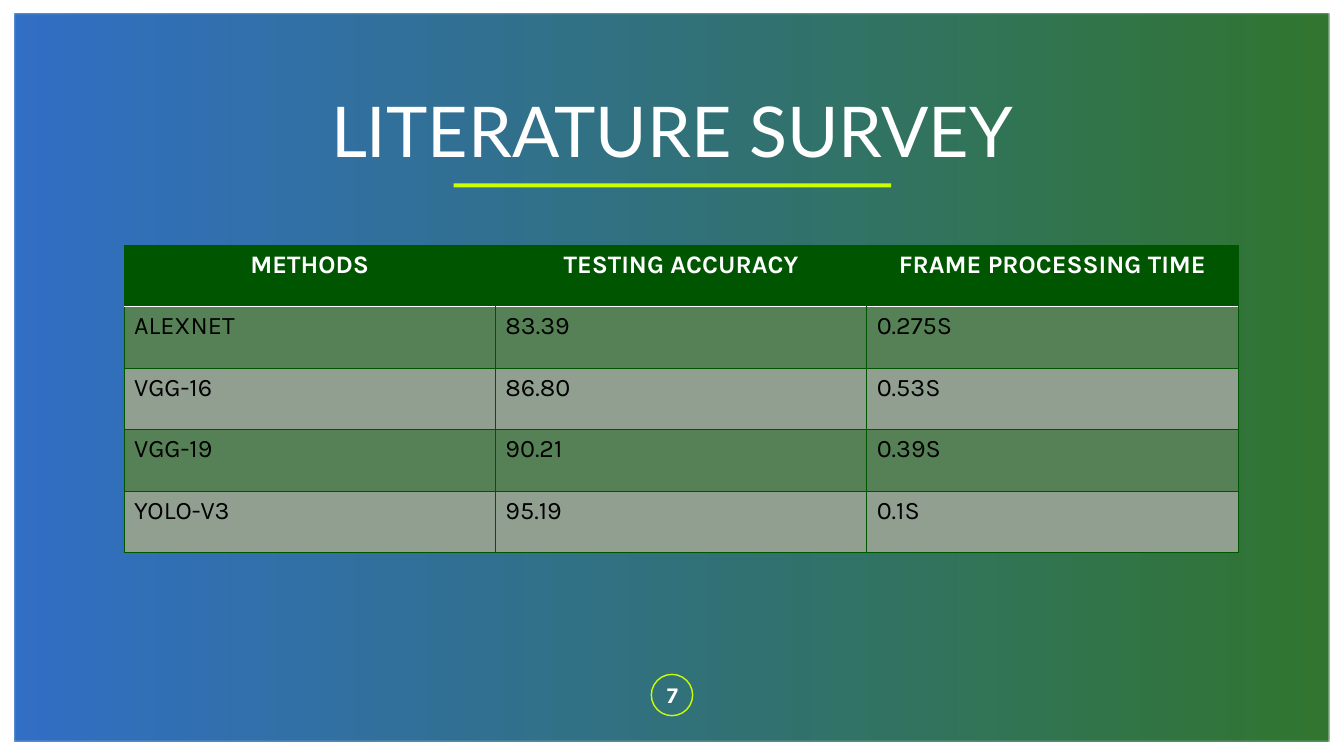
from lxml import etree
from pptx import Presentation
from pptx.dml.color import RGBColor
from pptx.enum.shapes import MSO_SHAPE
from pptx.enum.text import MSO_ANCHOR, MSO_AUTO_SIZE, PP_ALIGN
from pptx.oxml.ns import qn
from pptx.util import Inches, Pt

BLUE = RGBColor(0x00, 0x4C, 0xB9)
GREEN = RGBColor(0x00, 0x55, 0x00)
LIME = RGBColor(0xCB, 0xFF, 0x00)
WHITE = RGBColor(0xFF, 0xFF, 0xFF)
BLACK = RGBColor(0x00, 0x00, 0x00)
BAND_DARK = RGBColor(0x56, 0x81, 0x56)
BAND_LIGHT = RGBColor(0x90, 0x9F, 0x90)


def add_run(paragraph, text, font_name, size, color, bold=False):
    run = paragraph.add_run()
    run.text = text
    run.font.name = font_name
    run.font.size = Pt(size)
    run.font.color.rgb = color
    run.font.bold = bold


def set_borders(cell, borders):
    """Borders are (side, color, points), sides in the order L, R, T, B."""
    properties = cell._tc.get_or_add_tcPr()
    for index, (side, color, points) in enumerate(borders):
        line = etree.Element(qn(f"a:ln{side}"), w=str(Pt(points)))
        if color is None:
            etree.SubElement(line, qn("a:noFill"))
        else:
            fill = etree.SubElement(line, qn("a:solidFill"))
            etree.SubElement(fill, qn("a:srgbClr"), val=str(color))
        properties.insert(index, line)


presentation = Presentation()
presentation.slide_width = Inches(13.33)
presentation.slide_height = Inches(7.5)
slide = presentation.slides.add_slide(presentation.slide_layouts[5])
shapes = slide.shapes
title = shapes.title

# Gradient panel
panel = shapes.add_shape(MSO_SHAPE.RECTANGLE, Inches(0.14), Inches(0.14),
                         Inches(13.05), Inches(7.22))
panel.shadow.inherit = False
panel.line.fill.background()
panel.fill.gradient()
panel.fill.gradient_angle = 0
for stop, color, position in zip(panel.fill.gradient_stops, (BLUE, GREEN), (0, 0.99)):
    stop.color.rgb = color
    stop.position = position
for color_element in panel._element.spPr.iter(qn("a:srgbClr")):
    etree.SubElement(color_element, qn("a:alpha"), val="80000")

# Ring around the page number
ring = shapes.add_shape(MSO_SHAPE.OVAL, Inches(6.46), Inches(6.69),
                        Inches(0.41), Inches(0.41))
ring.shadow.inherit = False
ring.fill.background()
ring.line.color.rgb = LIME
ring.line.width = Pt(1)

# Title underline
underline = shapes.add_shape(MSO_SHAPE.RECTANGLE, Inches(4.5), Inches(1.82),
                             Inches(4.34), Inches(0.04))
underline.shadow.inherit = False
underline.fill.solid()
underline.fill.fore_color.rgb = LIME
underline.line.fill.background()

# Title, brought in front of the panel
shapes._spTree.append(title._element)
title.left, title.top = Inches(0.92), Inches(0.61)
title.width, title.height = Inches(11.5), Inches(1.45)
frame = title.text_frame
frame.auto_size = MSO_AUTO_SIZE.NONE
frame.vertical_anchor = MSO_ANCHOR.MIDDLE
frame.margin_left = frame.margin_right = 0
paragraph = frame.paragraphs[0]
paragraph.alignment = PP_ALIGN.CENTER
paragraph.line_spacing = 0.9
add_run(paragraph, "LITERATURE SURVEY", "Lato", 50, WHITE)

# Page number
number_box = shapes.add_textbox(Inches(6.37), Inches(6.69), Inches(0.6), Inches(0.4))
frame = number_box.text_frame
frame.word_wrap = True
frame.vertical_anchor = MSO_ANCHOR.MIDDLE
paragraph = frame.paragraphs[0]
paragraph.alignment = PP_ALIGN.CENTER
add_run(paragraph, "7", "Karla", 16, WHITE, True)

# Results table
results = [
    ("METHODS", "TESTING ACCURACY", "FRAME PROCESSING TIME"),
    ("ALEXNET", "83.39", "0.275S"),
    ("VGG-16", "86.80", "0.53S"),
    ("VGG-19", "90.21", "0.39S"),
    ("YOLO-V3", "95.19", "0.1S"),
]
table = shapes.add_table(len(results), 3, Inches(1.23), Inches(2.43),
                         Inches(11.05), Inches(3.05)).table
for row_index, values in enumerate(results):
    table.rows[row_index].height = Inches(0.61)
    is_header = row_index == 0
    if is_header:
        row_fill = GREEN
    else:
        row_fill = BAND_DARK if row_index % 2 else BAND_LIGHT
    for column_index, value in enumerate(values):
        cell = table.cell(row_index, column_index)
        cell.fill.solid()
        cell.fill.fore_color.rgb = row_fill
        paragraph = cell.text_frame.paragraphs[0]
        paragraph.alignment = PP_ALIGN.CENTER if is_header else PP_ALIGN.LEFT
        add_run(paragraph, value, "Karla", 18, WHITE if is_header else BLACK, is_header)
        top = (WHITE, 1) if row_index == 1 else (GREEN, 0.5)
        bottom = (WHITE, 1) if is_header else (GREEN, 0.5)
        left = None if is_header and column_index > 0 else GREEN
        right = None if is_header and column_index < 2 else GREEN
        set_borders(cell, [("L", left, 0.5), ("R", right, 0.5),
                           ("T", *top), ("B", *bottom)])

presentation.save("out.pptx")
